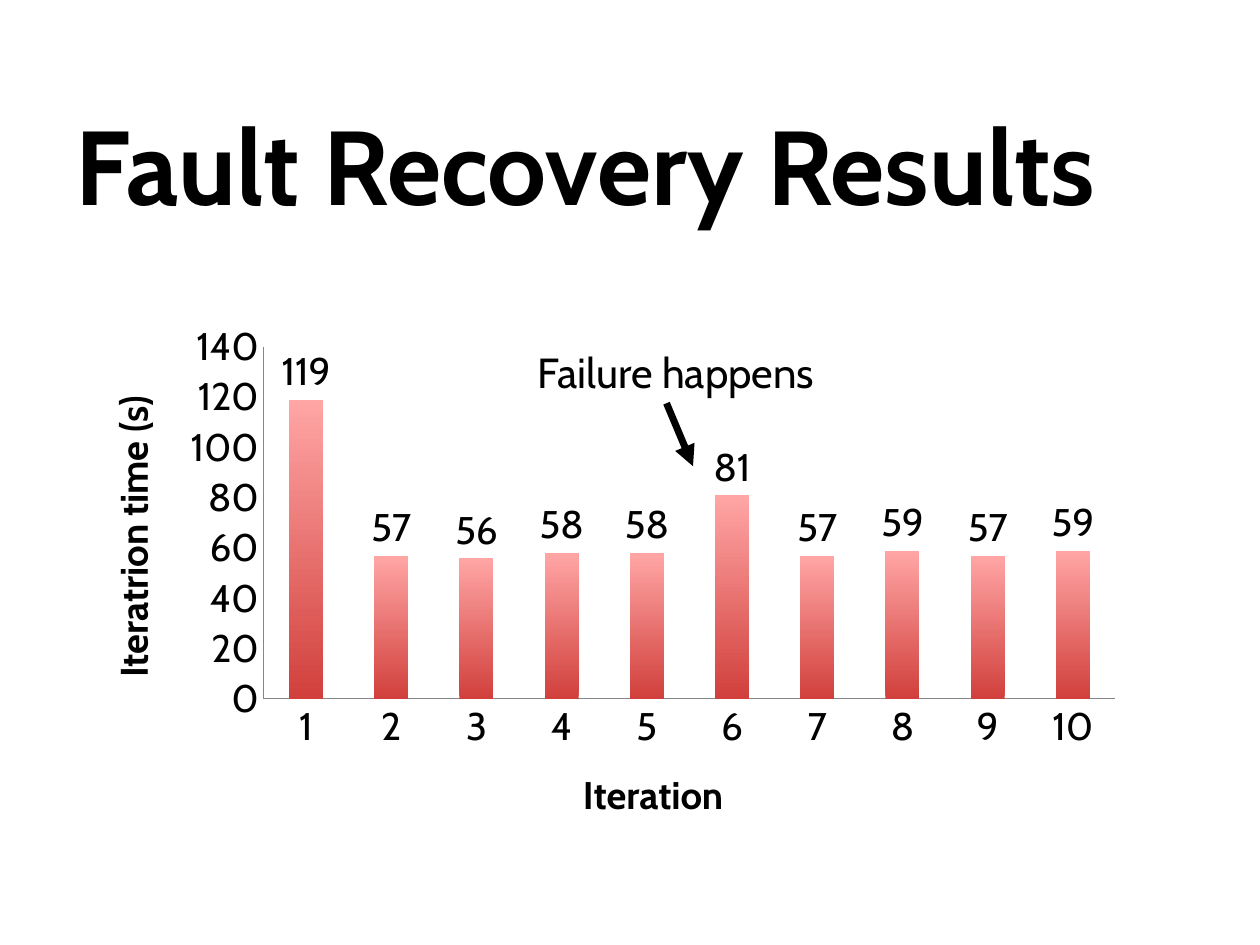
from lxml import etree
from pptx import Presentation
from pptx.chart.data import CategoryChartData
from pptx.dml.color import RGBColor
from pptx.enum.chart import XL_CHART_TYPE as ChartType, XL_LABEL_POSITION as LabelPos, XL_TICK_MARK as TickMark
from pptx.enum.shapes import MSO_CONNECTOR as Connector
from pptx.enum.text import MSO_ANCHOR as Anchor, MSO_AUTO_SIZE as AutoSize, PP_ALIGN as Align
from pptx.oxml import parse_xml
from pptx.oxml.ns import nsdecls, qn
from pptx.util import Inches, Pt

BLACK = RGBColor(0x00, 0x00, 0x00)
AXIS_GRAY = RGBColor(0x86, 0x86, 0x86)
DARK_RED = RGBColor(0xD1, 0x40, 0x3C)
LIGHT_RED = RGBColor(0xFF, 0xA6, 0xA5)
FONT = "Cabin"
ITERATION_TIMES = (119, 57, 56, 58, 58, 81, 57, 59, 57, 59)


def set_font(font, size, bold=False):
    font.name, font.size, font.bold = FONT, Pt(size), bold
    font.color.rgb = BLACK


def add_title(slide, left, top, width, height):
    title = slide.shapes.title
    title.left, title.top, title.width, title.height = left, top, width, height
    title.text_frame.text = "Fault Recovery Results"
    title.text_frame.vertical_anchor = Anchor.MIDDLE
    heading = title.text_frame.paragraphs[0]
    heading.alignment = Align.LEFT
    set_font(heading.font, 60, bold=True)


def style_axis(axis, caption):
    axis.has_major_gridlines = False
    axis.major_tick_mark = axis.minor_tick_mark = TickMark.NONE
    axis.format.line.color.rgb = AXIS_GRAY
    axis.format.line.width = Pt(0.75)
    axis.axis_title.text_frame.text = caption
    set_font(axis.axis_title.text_frame.paragraphs[0].font, 22, bold=True)


def add_iteration_chart(slide, left, top, width, height):
    data = CategoryChartData(number_format="#,##0")
    data.categories = [str(n) for n in range(1, len(ITERATION_TIMES) + 1)]
    data.add_series("Series 1", ITERATION_TIMES)
    chart = slide.shapes.add_chart(
        ChartType.COLUMN_CLUSTERED, left, top, width, height, data).chart
    chart.has_title = chart.has_legend = False
    set_font(chart.font, 22)

    # Axes
    style_axis(chart.category_axis, "Iteration")
    times_axis = chart.value_axis
    style_axis(times_axis, "Iteratrion time (s)")
    times_axis.minimum_scale, times_axis.maximum_scale = 0, 140
    times_axis.major_unit = 20

    # Columns, dark at the foot and light at the top
    plot = chart.plots[0]
    plot.gap_width = 150
    plot.vary_by_categories = False
    fill = plot.series[0].format.fill
    fill.gradient()
    fill.gradient_angle = 90
    for stop, color, position in zip(fill.gradient_stops, (DARK_RED, LIGHT_RED), (0, 1)):
        stop.color.rgb, stop.position = color, position

    # Value labels
    labels = plot.series[0].data_labels
    labels.show_value = True
    labels.number_format, labels.number_format_is_linked = "#,##0", False
    labels.position = LabelPos.OUTSIDE_END
    set_font(labels.font, 22)

    # Inner plot area as fractions of the chart
    plot_area = chart.element.find(".//" + qn("c:plotArea"))
    for old_layout in plot_area.findall(qn("c:layout")):
        plot_area.remove(old_layout)
    settings = (("layoutTarget", "inner"), ("xMode", "edge"), ("yMode", "edge"),
                ("x", 0.18), ("y", 0.11), ("w", 0.78), ("h", 0.61))
    tags = "".join(f'<c:{tag} val="{value}"/>' for tag, value in settings)
    plot_area.insert(0, parse_xml(
        f'<c:layout {nsdecls("c")}><c:manualLayout>{tags}</c:manualLayout></c:layout>'))


def add_failure_note(slide, left, top, width, height):
    # Arrow towards the sixth column
    arrow = slide.shapes.add_connector(
        Connector.STRAIGHT, left + Inches(1.12), top + height,
        left + Inches(1.33), top + height + Inches(0.5))
    arrow.line.color.rgb = BLACK
    arrow.line.width = Pt(4)
    etree.SubElement(arrow.line._get_or_add_ln(), qn("a:tailEnd"), type="triangle")
    etree.SubElement(arrow._element.spPr, qn("a:effectLst"))

    # Caption
    note = slide.shapes.add_textbox(left, top, width, height).text_frame
    note.word_wrap = False
    note.auto_size = AutoSize.SHAPE_TO_FIT_TEXT
    note.text = "Failure happens"
    set_font(note.paragraphs[0].font, 24)


def main():
    prs = Presentation()
    prs.slide_width, prs.slide_height = Inches(10), Inches(7.5)
    slide = prs.slides.add_slide(prs.slide_layouts[5])
    add_title(slide, Inches(0.5), Inches(0.67), Inches(9), Inches(1.25))
    add_iteration_chart(slide, Inches(0.53), Inches(2.25), Inches(8.67), Inches(4.58))
    add_failure_note(slide, Inches(4.17), Inches(2.7), Inches(2.4), Inches(0.5))
    prs.save("out.pptx")


if __name__ == "__main__":
    main()
